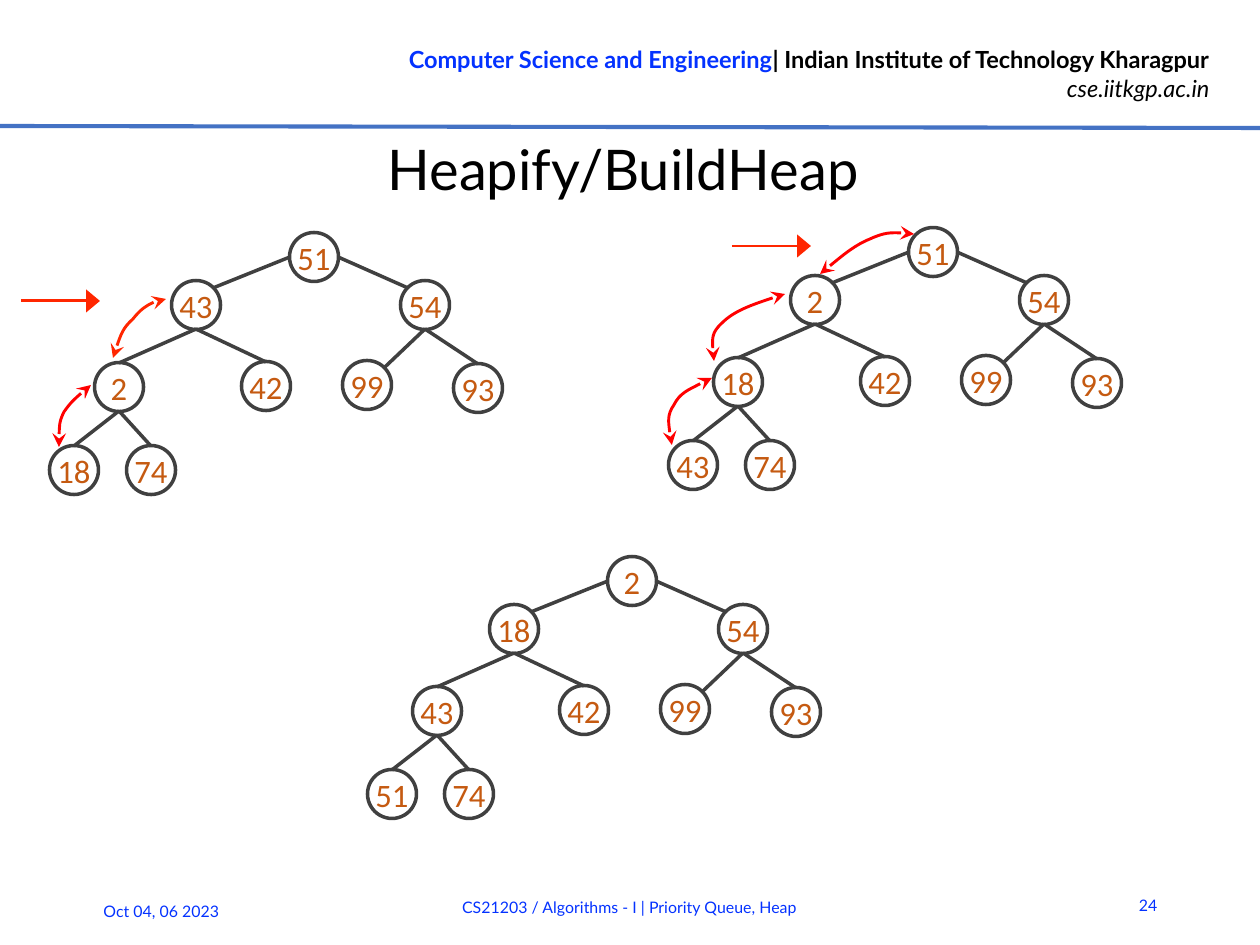
from lxml.etree import SubElement
from pptx import Presentation
from pptx.dml.color import RGBColor
from pptx.enum.shapes import MSO_CONNECTOR as CONNECTOR, MSO_SHAPE as SHAPE
from pptx.enum.text import MSO_ANCHOR as ANCHOR, MSO_AUTO_SIZE as AUTO_SIZE, PP_ALIGN as ALIGN
from pptx.oxml.ns import qn
from pptx.util import Pt

PX = 914400 / 168
COLORS = {
    "blue": "0432FF", "rule": "4472C4", "black": "000000", "node": "404040",
    "number": "C55A11", "orange": "FF2600", "red": "FF0000",
}


def set_font(font, name, size, color):
    font.name = name
    font.size = Pt(size)
    font.color.rgb = RGBColor.from_string(COLORS[color])


def style_line(shape, color, width, head=None, tail=None, arrow_width="med"):
    shape.line.color.rgb = RGBColor.from_string(COLORS[color])
    shape.line.width = Pt(width)
    properties = shape._element.spPr
    outline = properties.find(qn("a:ln"))
    for tag, kind in (("a:headEnd", head), ("a:tailEnd", tail)):
        if kind:
            SubElement(outline, qn(tag), type=kind, w=arrow_width, len="med")
    if properties.find(qn("a:effectLst")) is None:
        SubElement(properties, qn("a:effectLst"))


presentation = Presentation()
presentation.slide_width = round(1260 * PX)
presentation.slide_height = round(945 * PX)
slide = presentation.slides.add_slide(presentation.slide_layouts[5])

# Title
title = slide.shapes.title
title.left, title.top, title.width, title.height = [round(v * PX) for v in (40, 133, 1166, 69)]
frame = title.text_frame
frame.text = "Heapify/BuildHeap"
frame.auto_size = AUTO_SIZE.NONE
frame.vertical_anchor = ANCHOR.MIDDLE
frame.margin_left = frame.margin_right = frame.margin_bottom = 0
frame.margin_top = round(2 * PX)
frame.paragraphs[0].alignment = ALIGN.CENTER
set_font(frame.paragraphs[0].font, "Lato", 24, "black")

# Header
header = slide.shapes.add_textbox(*[round(v * PX) for v in (321, 37, 905, 74)])
frame = header.text_frame
frame.word_wrap = True
name_line, address_line = frame.paragraphs[0], frame.add_paragraph()
for text, color in (
    ("Computer Science and Engineering", "blue"),
    ("| Indian Institute of Technology Kharagpur", "black"),
):
    run = name_line.add_run()
    run.text = text
    set_font(run.font, "Lato", 10.1, color)
    run.font.bold = True
address_line.text = "cse.iitkgp.ac.in"
set_font(address_line.font, "Lato", 10.1, "black")
address_line.font.italic = True
name_line.alignment = address_line.alignment = ALIGN.RIGHT

rule = slide.shapes.add_connector(
    CONNECTOR.STRAIGHT, *[round(v * PX) for v in (0, 126, 1260, 128)])
style_line(rule, "rule", 1.75)

# Footer
for text, box, alignment in (
    ("Oct 04, 06 2023", (87, 886, 220, 50), ALIGN.LEFT),
    ("CS21203 / Algorithms - I | Priority Queue, Heap", (208, 882, 843, 50), ALIGN.CENTER),
    ("24", (1112, 880, 62, 50), ALIGN.RIGHT),
):
    footer = slide.shapes.add_textbox(*[round(v * PX) for v in box])
    frame = footer.text_frame
    frame.word_wrap = True
    frame.vertical_anchor = ANCHOR.MIDDLE
    paragraph = frame.paragraphs[0]
    paragraph.text = text
    paragraph.alignment = alignment
    set_font(paragraph.font, "Lato", 6.8, "blue")

# Heap trees: node centres relative to the root, in level order
NODE_SIZE = 49
NODES = [(0, 0), (-118, 48), (111, 48), (-195, 130), (-48, 129),
         (53, 128), (164, 131), (-240, 213), (-163, 213)]
LEFT, RIGHT, TOP, BOTTOM = (-24, 0), (24, 0), (0, -24), (0, 24)
TOP_LEFT, TOP_RIGHT = (-17, -17), (17, -17)
EDGES = [  # parent, child, where the edge leaves, where it arrives
    (0, 1, LEFT, TOP_RIGHT), (0, 2, RIGHT, TOP_LEFT),
    (1, 3, BOTTOM, TOP), (1, 4, BOTTOM, TOP),
    (2, 5, BOTTOM, TOP_RIGHT), (2, 6, BOTTOM, TOP),
    (3, 7, BOTTOM, TOP), (3, 8, BOTTOM, TOP),
]
TREES = [
    ((314, 257), (51, 43, 54, 2, 42, 99, 93, 18, 74)),
    ((933, 252), (51, 2, 54, 18, 42, 99, 93, 43, 74)),
    ((632, 581), (2, 18, 54, 43, 42, 99, 93, 51, 74)),
]
for (root_x, root_y), numbers in TREES:
    tree = slide.shapes.add_group_shape()
    centres = [(root_x + x, root_y + y) for x, y in NODES]
    for (x, y), number in zip(centres, numbers):
        corner = (x - NODE_SIZE / 2, y - NODE_SIZE / 2)
        node = tree.shapes.add_shape(
            SHAPE.OVAL, *[round(v * PX) for v in (*corner, NODE_SIZE, NODE_SIZE)])
        node.shadow.inherit = False
        node.fill.background()
        style_line(node, "node", 1.5)
        frame = node.text_frame
        frame.word_wrap = False
        frame.vertical_anchor = ANCHOR.MIDDLE
        frame.margin_left = frame.margin_right = frame.margin_top = frame.margin_bottom = 0
        paragraph = frame.paragraphs[0]
        paragraph.text = str(number)
        paragraph.alignment = ALIGN.CENTER
        set_font(paragraph.font, "Calibri", 14, "number")
    for parent, child, leave, arrive in EDGES:
        ends = [centre + shift for centre, shift in
                zip(centres[parent] + centres[child], leave + arrive)]
        edge = tree.shapes.add_connector(CONNECTOR.STRAIGHT, *[round(v * PX) for v in ends])
        style_line(edge, "node", 1.5)

# Arrows at the node being heapified
for x, y in ((21, 301), (732, 246)):
    pointer = slide.shapes.add_connector(
        CONNECTOR.STRAIGHT, *[round(v * PX) for v in (x, y, x + 79, y)])
    style_line(pointer, "orange", 1.25, tail="triangle", arrow_width="lg")

# Swap arrows: a start point, then two Bézier segments of three points
SWAPS = [
    ("orange", [(166, 299), (155, 299), (141, 309), (133, 319), (123, 328), (119, 339), (113, 358)]),
    ("red", [(91, 385), (81, 393), (71, 402), (64, 412), (59, 422), (59, 435), (59, 447)]),
    ("red", [(820, 274), (838, 259), (855, 245), (870, 239), (885, 232), (900, 232), (914, 234)]),
    ("red", [(785, 294), (759, 302), (734, 311), (722, 323), (711, 333), (712, 348), (714, 361)]),
    ("red", [(712, 378), (696, 386), (680, 393), (674, 405), (667, 415), (669, 430), (672, 445)]),
]
for color, points in SWAPS:
    builder = slide.shapes.build_freeform(*points[0], scale=PX)
    builder.add_line_segments(points[1:], close=False)
    swap = builder.convert_to_shape()
    segments = list(swap._element.iter(qn("a:lnTo")))
    for first in (0, 3):
        curve = segments[first]
        curve.tag = qn("a:cubicBezTo")
        for segment in segments[first + 1:first + 3]:
            curve.append(segment[0])
            segment.getparent().remove(segment)
    swap.shadow.inherit = False
    swap.fill.background()
    style_line(swap, color, 1.25, head="stealth", tail="stealth")

presentation.save("out.pptx")
